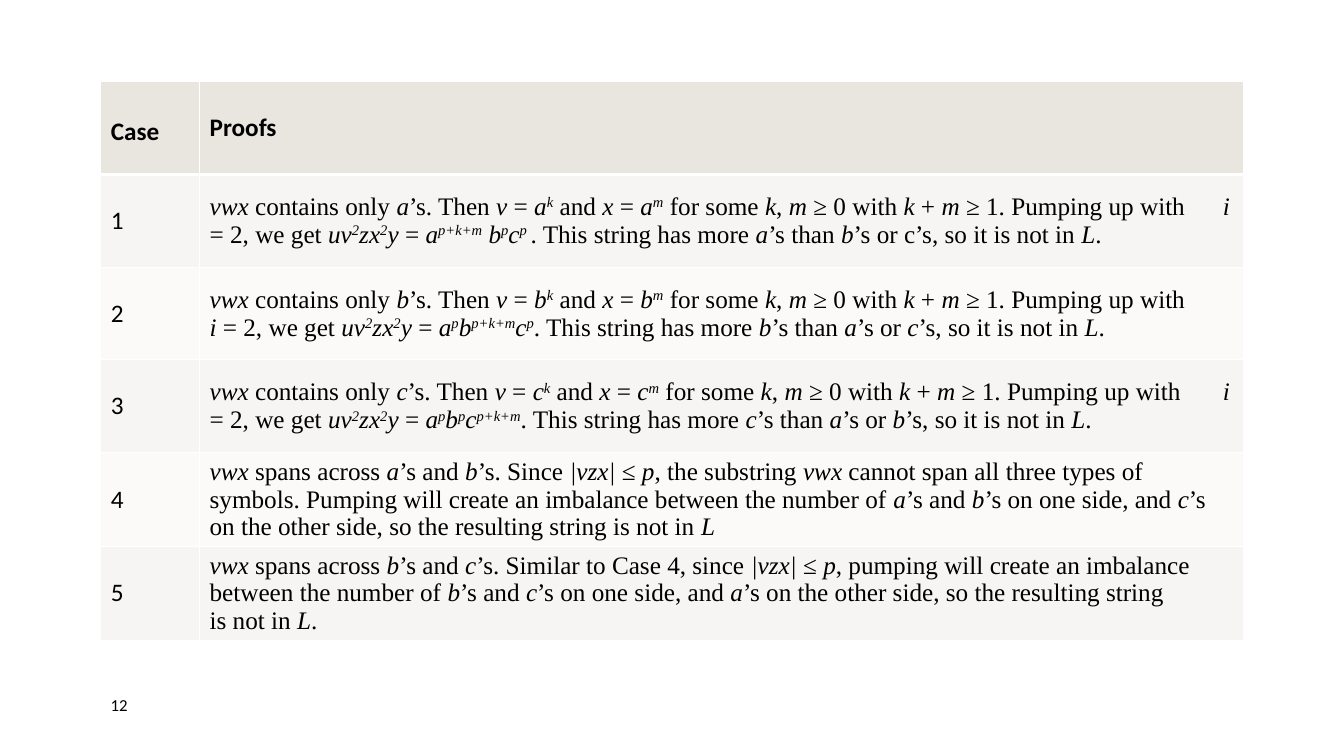
"""Build a slide with a table of the five cases of a pumping lemma proof."""
import dataclasses

import lxml.etree
import pptx
import pptx.dml.color
import pptx.enum.text
import pptx.oxml.ns
import pptx.table
import pptx.text.text
import pptx.util

COLORS = {"text": "000000", "line": "FFFFFF", "header": "E9E6DF",
          "odd": "F7F5F3", "even": "FBFAF9"}
SANS, SERIF = "Calibri", "Times New Roman"
WIDTH, HEIGHT = pptx.util.Inches(13.33), pptx.util.Inches(7.5)
LEFT, TOP = 7.5, 10.8
COLUMNS = (7.35, 77.65)
ROW = 12.27
LINE, HEADER_LINE = 1, 3
TAB_STOP = pptx.util.Inches(10.05)
MIDDLE = pptx.enum.text.MSO_ANCHOR.MIDDLE


@dataclasses.dataclass
class Case:
    """One proof case, with _italic_ and ^superscript^ marks in its proof."""
    number: str
    proof: str


CASES = [
    Case("1", "_vwx_ contains only _a_’s. Then _v_ = _a^k^_ and _x_ = _a^m^_ for some _k_, _m_ ≥ 0 "
              "with _k_ + _m_ ≥ 1. Pumping up with\t_i_ = 2, we get _uv^2^zx^2^y_ = "
              "_a^p+k+m^ b^p^c^p ^_. This string has more _a_’s than _b_’s or c’s, "
              "so it is not in _L_."),
    Case("2", "_vwx_ contains only _b_’s. Then _v_ = _b^k^_ and _x_ = _b^m^_ for some _k_, _m_ ≥ 0 "
              "with _k_ + _m_ ≥ 1. Pumping up with\n_i_ = 2, we get _uv^2^zx^2^y_ = "
              "_a^p^b^p+k+m^c^p^_. This string has more _b_’s than _a_’s or _c_’s, "
              "so it is not in _L_."),
    Case("3", "_vwx_ contains only _c_’s. Then _v_ = _c^k^_ and _x_ = _c^m^_ for some _k_, _m_ ≥ 0 "
              "with _k_ + _m_ ≥ 1. Pumping up with\t_i_ = 2, we get _uv^2^zx^2^y_ = "
              "_a^p^b^p^c^p+k+m^_. This string has more _c_’s than _a_’s or _b_’s, "
              "so it is not in _L_."),
    Case("4", "_vwx_ spans across _a_’s and _b_’s. Since _|vzx|_ ≤ _p_, the substring _vwx_ "
              "cannot span all three types of symbols. Pumping will create an imbalance between "
              "the number of _a_’s and _b_’s on one side, and _c_’s on the other side, "
              "so the resulting string is not in _L_"),
    Case("5", "_vwx_ spans across _b_’s and _c_’s. Similar to Case 4, since _|vzx|_ ≤ _p_, "
              "pumping will create an imbalance between the number of _b_’s and _c_’s on one "
              "side, and _a_’s on the other side, so the resulting string\nis not in _L_."),
]


def across(percent: float) -> int:
    """Return a share of the slide width."""
    return round(WIDTH * percent / 100)


def down(percent: float) -> int:
    """Return a share of the slide height."""
    return round(HEIGHT * percent / 100)


def write(tf: pptx.text.text.TextFrame, text: str, *, font: str = SANS,
          size: int = 18, bold: bool = False) -> None:
    """Write marked-up text into the first paragraph of a text frame."""
    tf.word_wrap = True
    p = tf.paragraphs[0]
    for i, part in enumerate(text.split("_")):
        for j, piece in enumerate(part.split("^")):
            for k, line in enumerate(piece.split("\n")):
                if k:
                    p.add_line_break()
                if not line:
                    continue
                r = p.add_run()
                r.text = line
                r.font.name, r.font.size = font, pptx.util.Pt(size)
                r.font.bold, r.font.italic = bold, i % 2 == 1
                r.font.color.rgb = pptx.dml.color.RGBColor.from_string(COLORS["text"])
                if j % 2:
                    r.font._element.set("baseline", "30000")


def add_tab_stop(p: pptx.text.text._Paragraph) -> None:
    """Give a paragraph its left tab stop."""
    qn = pptx.oxml.ns.qn
    stops = lxml.etree.SubElement(p._p.get_or_add_pPr(), qn("a:tabLst"))
    lxml.etree.SubElement(stops, qn("a:tab"), pos=str(TAB_STOP), algn="l")


def style_cell(cell: pptx.table._Cell, fill: str, top: int, bottom: int) -> None:
    """Fill a cell and draw its four borders."""
    qn = pptx.oxml.ns.qn
    cell.vertical_anchor = MIDDLE
    cell.fill.solid()
    cell.fill.fore_color.rgb = pptx.dml.color.RGBColor.from_string(COLORS[fill])
    borders = {"L": LINE, "R": LINE, "T": top, "B": bottom}
    for i, (side, width) in enumerate(borders.items()):
        ln = lxml.etree.Element(qn(f"a:ln{side}"), w=str(pptx.util.Pt(width)))
        solid = lxml.etree.SubElement(ln, qn("a:solidFill"))
        lxml.etree.SubElement(solid, qn("a:srgbClr"), val=COLORS["line"])
        cell._tc.get_or_add_tcPr().insert(i, ln)


def main() -> None:
    """Build and save the presentation."""
    prs = pptx.Presentation()
    prs.slide_width, prs.slide_height = WIDTH, HEIGHT
    s = prs.slides.add_slide(prs.slide_layouts[6])

    rows = len(CASES) + 1
    table = s.shapes.add_table(rows, len(COLUMNS), across(LEFT), down(TOP),
                               across(sum(COLUMNS)), down(ROW * rows)).table
    table.first_row = table.horz_banding = False
    for column, width in zip(table.columns, COLUMNS):
        column.width = across(width)
    for i, row in enumerate(table.rows):
        row.height = down(ROW)
        fill = "header" if i == 0 else "odd" if i % 2 else "even"
        for cell in row.cells:
            style_cell(cell, fill, HEADER_LINE if i == 1 else LINE,
                       HEADER_LINE if i == 0 else LINE)

    for cell, title in zip(table.rows[0].cells, ("Case", "Proofs")):
        write(cell.text_frame, title, bold=True)
    case_title = table.cell(0, 0)
    case_title.vertical_anchor = pptx.enum.text.MSO_ANCHOR.TOP
    case_title.margin_top = pptx.util.Inches(0.35)

    for i, case in enumerate(CASES, 1):
        write(table.cell(i, 0).text_frame, case.number)
        tf = table.cell(i, 1).text_frame
        write(tf, case.proof, font=SERIF)
        if "\t" in case.proof:
            add_tab_stop(tf.paragraphs[0])

    sp = s.shapes.add_textbox(across(LEFT), down(91.07), across(5.18), down(4.27))
    sp.text_frame.vertical_anchor = MIDDLE
    write(sp.text_frame, "12", size=12)
    prs.save("out.pptx")


if __name__ == "__main__":
    main()
